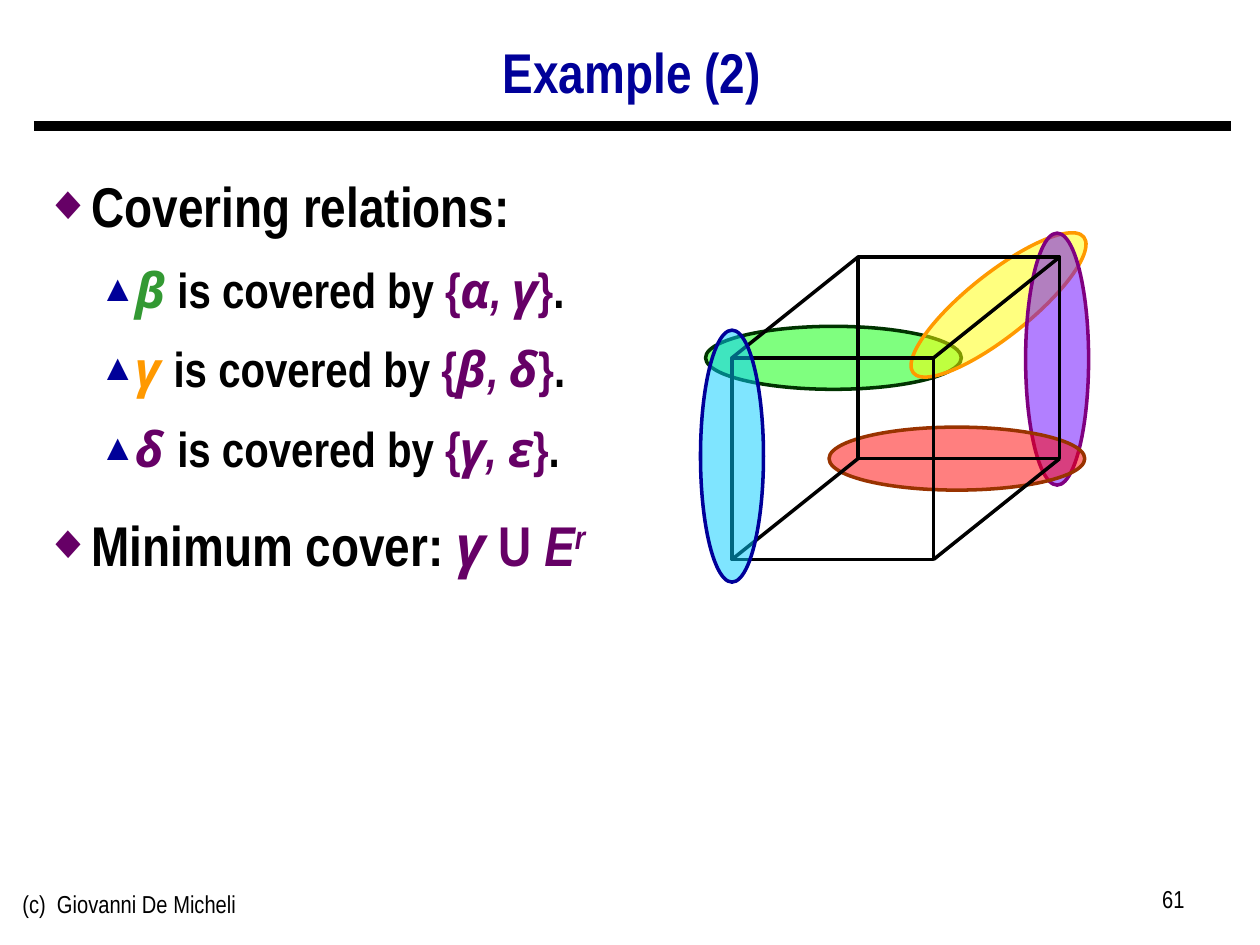
from dataclasses import dataclass

from lxml import etree
from pptx import Presentation
from pptx.dml.color import RGBColor as Color
from pptx.enum.shapes import MSO_CONNECTOR as Connector, MSO_SHAPE as Shape
from pptx.enum.text import MSO_ANCHOR as Anchor, MSO_AUTO_SIZE as AutoSize, PP_ALIGN as Align
from pptx.oxml.ns import qn
from pptx.util import Inches, Pt


@dataclass(frozen=True)
class Theme:
    font: str = "Arial Narrow"
    greek_font: str = "Open Sans"
    black: str = "000000"
    navy: str = "000099"
    plum: str = "660066"
    green: str = "339933"
    orange: str = "FF9900"
    heading: int = 32
    item: int = 28
    small: int = 14
    outline: int = 2
    rule: int = 6


theme = Theme()


def add_span(para, text, size, color, bold=True, italic=False):
    span = para.add_run()
    span.text = text
    greek = any("α" <= letter <= "ω" for letter in text)
    span.font.name = theme.greek_font if greek else theme.font
    span.font.size = Pt(size)
    span.font.bold = bold
    span.font.italic = italic or greek
    span.font.color.rgb = Color.from_string(color)
    return span


def add_line(shapes, start, end, width):
    line = shapes.add_connector(Connector.STRAIGHT, *map(Inches, start + end))
    line.line.color.rgb = Color.from_string(theme.black)
    line.line.width = Pt(width)
    etree.SubElement(line._element.spPr, qn("a:effectLst"))


deck = Presentation()
deck.slide_width, deck.slide_height = Inches(10), Inches(7.5)
page = deck.slides.add_slide(deck.slide_layouts[1])
title, body = page.placeholders

add_line(page.shapes, (0.27, 1), (9.77, 1), theme.rule)

for text, left, top, width, align in (
    ("(c)  Giovanni De Micheli", 0.08, 7.01, 3.17, Align.LEFT),
    ("61", 7.17, 6.97, 2.33, Align.RIGHT),
):
    box = page.shapes.add_textbox(*map(Inches, (left, top, width, 0.52)))
    box.text_frame.word_wrap = True
    para = box.text_frame.paragraphs[0]
    para.alignment = align
    add_span(para, text, theme.small, theme.black, bold=False)

for holder, place, anchor in (
    (title, (0.26, 0.22, 9.51, 0.75), Anchor.MIDDLE),
    (body, (0.25, 1.18, 9.51, 5.69), Anchor.TOP),
):
    holder.left, holder.top, holder.width, holder.height = map(Inches, place)
    holder.text_frame.auto_size = AutoSize.NONE
    holder.text_frame.vertical_anchor = anchor

para = title.text_frame.paragraphs[0]
para.alignment = Align.CENTER
para.line_spacing = 0.9
add_span(para, "Example (2)", theme.heading, theme.navy)

items = [(0, [("Covering relations:", theme.black)])]
for name, gap, color, first, second in (
    ("β", " ", theme.green, "α", "γ"),
    ("γ ", "", theme.orange, "β", "δ"),
    ("δ ", "", theme.plum, "γ", "ε"),
):
    items.append((1, [
        (name, color), (gap + "is covered by ", theme.black), ("{", theme.plum),
        (first, theme.plum), (", ", theme.plum, True), (second, theme.plum),
        ("}", theme.plum), (".", theme.black),
    ]))
items.append((0, [
    ("Minimum cover: ", theme.black), ("γ", theme.plum), (" U ", theme.plum),
    ("E", theme.plum, True), ("r", theme.plum, True),
]))

levels = (
    (theme.heading, 1.25, 0.31, -0.31, "◆", theme.plum, 85),
    (theme.item, 1.1, 0.69, -0.25, "▲", theme.navy, 75),
)
for index, (level, spans) in enumerate(items):
    size, spacing, margin, indent, mark, mark_color, mark_size = levels[level]
    para = body.text_frame.add_paragraph() if index else body.text_frame.paragraphs[0]
    para.level = level
    para.line_spacing = spacing
    props = para._p.get_or_add_pPr()
    props.set("marL", str(Inches(margin)))
    props.set("indent", str(Inches(indent)))
    before = etree.SubElement(props, qn("a:spcBef"))
    etree.SubElement(before, qn("a:spcPct"), val="30000" if index else "0")
    tint = etree.SubElement(props, qn("a:buClr"))
    etree.SubElement(tint, qn("a:srgbClr"), val=mark_color)
    etree.SubElement(props, qn("a:buSzPct"), val=str(mark_size * 1000))
    etree.SubElement(props, qn("a:buChar"), char=mark)
    for text, color, *slant in spans:
        span = add_span(para, text, size, color, italic=bool(slant))
span.font._element.set("baseline", "30000")

ellipses = (
    (5.6, 2.59, 2.03, 0, "00FF00", "003300"),
    (7.06, 2.17, 1.73, 321.5, "FFFF00", "FF9900"),
    (7.39, 2.6, 2, 270, "6600FF", "800080"),
    (6.58, 3.39, 2.03, 0, "FF0000", "993300"),
    (4.81, 3.37, 2, 270, "00CCFF", "000099"),
)
cube_side = 1.6
front, back = (5.81, 2.84), (6.81, 2.04)
for index, (left, top, width, turn, fill, outline) in enumerate(ellipses):
    if index == len(ellipses) - 1:
        cube = page.shapes.add_group_shape()
        for left_edge, top_edge in (front, back):
            face = cube.shapes.add_shape(
                Shape.RECTANGLE, *map(Inches, (left_edge, top_edge, cube_side, cube_side)))
            face.shadow.inherit = False
            face.fill.background()
            face.line.color.rgb = Color.from_string(theme.black)
            face.line.width = Pt(theme.outline)
        for across in (0, cube_side):
            for down in (0, cube_side):
                start, end = ((x + across, y + down) for x, y in (front, back))
                add_line(cube.shapes, start, end, theme.outline)
    loop = page.shapes.add_shape(Shape.OVAL, *map(Inches, (left, top, width, 0.5)))
    loop.rotation = turn
    loop.shadow.inherit = False
    loop.fill.solid()
    loop.fill.fore_color.rgb = Color.from_string(fill)
    tint = loop._element.spPr.find(qn("a:solidFill"))[0]
    etree.SubElement(tint, qn("a:alpha"), val="50000")
    loop.line.color.rgb = Color.from_string(outline)
    loop.line.width = Pt(theme.outline)

deck.save("out.pptx")
